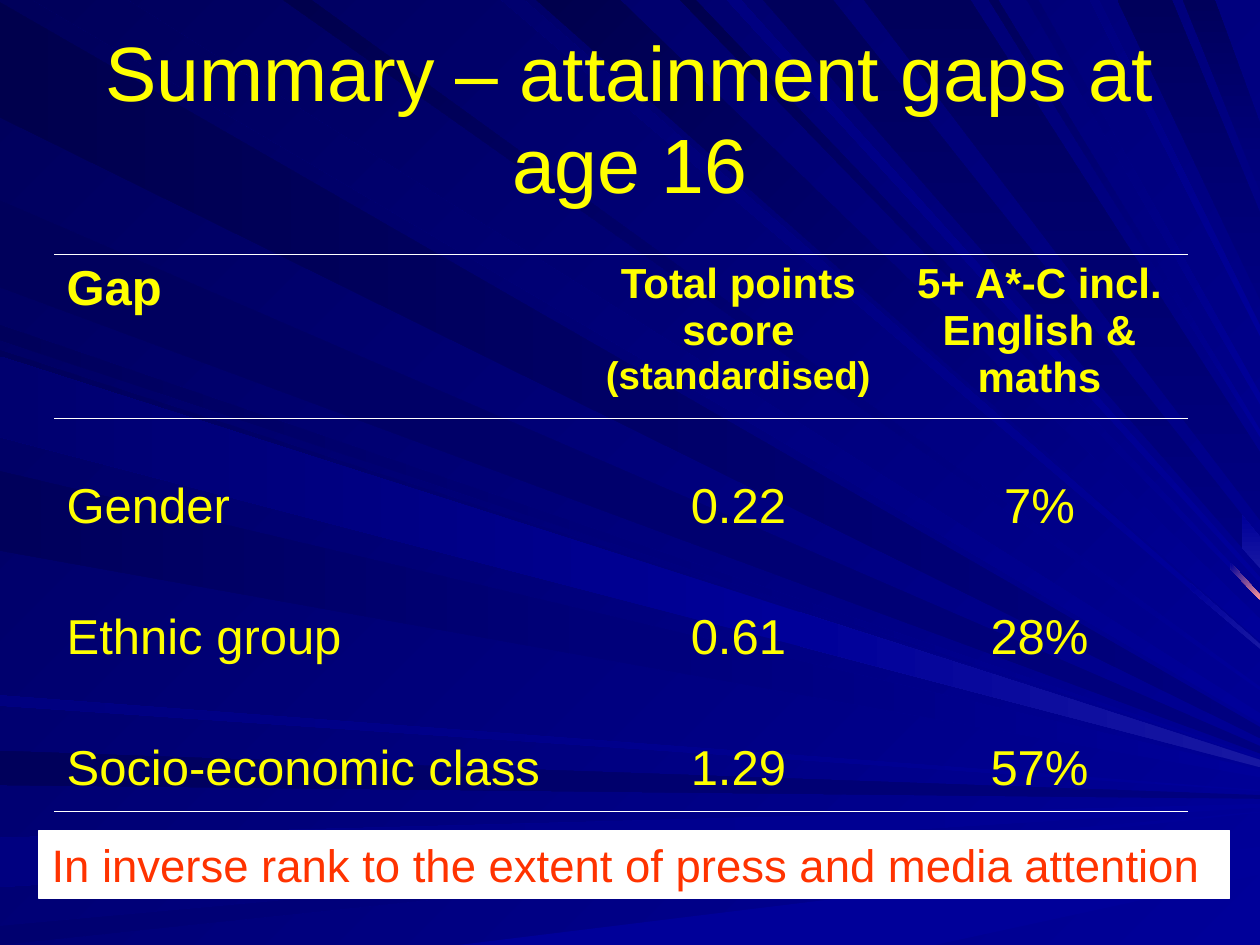
from dataclasses import dataclass
from typing import Optional

from lxml import etree
from pptx import Presentation
from pptx.dml.color import RGBColor
from pptx.enum.shapes import MSO_SHAPE
from pptx.enum.text import MSO_ANCHOR, PP_ALIGN
from pptx.oxml.ns import qn
from pptx.util import Cm, Pt

RECTANGLE = MSO_SHAPE.RECTANGLE
MIDDLE, TOP = MSO_ANCHOR.MIDDLE, MSO_ANCHOR.TOP
LEFT, CENTER = PP_ALIGN.LEFT, PP_ALIGN.CENTER

FONT = "Arial"
YELLOW = RGBColor.from_string("FFFF00")
WHITE = RGBColor.from_string("FFFFFF")
RED = RGBColor.from_string("FF3300")
PINK = RGBColor.from_string("FF9999")
GLOW = RGBColor.from_string("1717A2")
BLUE = RGBColor.from_string("000099")
NAVY = RGBColor.from_string("000080")
DIM = RGBColor.from_string("00006F")
DEEP = RGBColor.from_string("00005B")
DARK = RGBColor.from_string("00004D")

RAY_UNIT = Cm(0.0254)
RIGHT_EDGE = 1000
FOCUS_X, FOCUS_Y = 1100, 635
RULE_WIDTH = Pt(0.45)

Point = tuple[float, float]


@dataclass(frozen=True)
class Beam:
    near: int
    far: int
    dark: RGBColor
    light: RGBColor = BLUE
    split: int = RIGHT_EDGE
    tip: Optional[RGBColor] = None


@dataclass(frozen=True)
class Run:
    text: str
    size: int
    color: RGBColor = YELLOW
    bold: bool = False


BACK_LEFT_BEAMS = [
    Beam(2, 93, DARK, NAVY),
    Beam(596, 623, DEEP, NAVY),
    Beam(665, 704, NAVY),
    Beam(735, 750, DIM),
    Beam(258, 270, DEEP),
    Beam(159, 228, DEEP, NAVY),
]
TOP_BEAMS = [
    Beam(26, 101, DEEP),
    Beam(398, 416, DIM, split=945, tip=GLOW),
    Beam(426, 492, DARK),
    Beam(540, 552, DARK, split=977, tip=PINK),
    Beam(606, 661, DEEP, NAVY, split=986, tip=GLOW),
    Beam(887, 930, DEEP, NAVY),
    Beam(939, 964, DEEP, NAVY),
    Beam(225, 247, DARK),
    Beam(577, 588, NAVY),
    Beam(686, 770, DEEP, NAVY),
    Beam(785, 792, DEEP),
    Beam(815, 824, DIM),
    Beam(865, 872, NAVY),
]
FRONT_LEFT_BEAMS = [
    Beam(278, 342, DEEP),
    Beam(374, 437, DEEP),
    Beam(552, 560, NAVY),
    Beam(283, 347, DIM, split=635, tip=GLOW),
]
FLOOR_GLOW = [(364, 750), (742, 750), (1000, 694), (1000, 672)]

HEADER = [
    [Run("Gap", 28, bold=True)],
    [Run("Total points score ", 24, bold=True), Run("(standardised)", 22, bold=True)],
    [Run("5+ A*-C incl. English & maths", 24, bold=True)],
]
GAPS = [
    ("Gender", "0.22", "7%"),
    ("Ethnic group", "0.61", "28%"),
    ("Socio-economic class", "1.29", "57%"),
]
COLUMN_WIDTHS = [Cm(10.72), Cm(6.15), Cm(5.99)]
ROW_HEIGHTS = [Cm(3.3)] + [Cm(2.64)] * len(GAPS)


def fill_gradient(fill, start: RGBColor, end: RGBColor, angle: int) -> None:
    fill.gradient()
    fill.gradient_angle = angle
    for stop, color in zip(fill.gradient_stops, (start, end)):
        stop.color.rgb = color


def draw_outline(slide, points: list[Point], start: RGBColor, end: RGBColor, angle: int) -> None:
    builder = slide.shapes.build_freeform(*points[0], scale=RAY_UNIT)
    builder.add_line_segments(points[1:], close=True)
    shape = builder.convert_to_shape()
    shape.shadow.inherit = False
    shape.line.fill.background()
    fill_gradient(shape.fill, start, end, angle)


def toward_focus(origin: Point, x: float) -> Point:
    origin_x, origin_y = origin
    focus_x = FOCUS_X + origin_x / 10
    return x, origin_y + (FOCUS_Y - origin_y) * (x - origin_x) / (focus_x - origin_x)


def draw_beam(slide, beam: Beam, from_top: bool) -> None:
    edges = [(start, 0) if from_top else (0, start) for start in (beam.near, beam.far)]
    near, far = [toward_focus(edge, beam.split) for edge in edges]
    angle = 180
    if from_top:
        angle = 90 if beam.light == NAVY else 135
    draw_outline(slide, [edges[0], near, far, edges[1]], beam.light, beam.dark, angle)
    if beam.tip is not None:
        near_end, far_end = [toward_focus(edge, RIGHT_EDGE) for edge in edges]
        draw_outline(slide, [near, near_end, far_end, far], beam.tip, BLUE, angle)


def draw_background(slide) -> None:
    fill_gradient(slide.background.fill, BLUE, DEEP, 135)
    layers = [(BACK_LEFT_BEAMS, False), (TOP_BEAMS, True), (FRONT_LEFT_BEAMS, False)]
    for beams, from_top in layers:
        for beam in beams:
            draw_beam(slide, beam, from_top)
    draw_outline(slide, FLOOR_GLOW, BLUE, BLUE, 180)


def write(text_frame, runs: list[Run], alignment, line_spacing: float = 1.0) -> None:
    paragraph = text_frame.paragraphs[0]
    paragraph.alignment = alignment
    paragraph.line_spacing = line_spacing
    for item in runs:
        run = paragraph.add_run()
        run.text = item.text
        run.font.name = FONT
        run.font.size = Pt(item.size)
        run.font.bold = item.bold
        run.font.color.rgb = item.color


def set_borders(cell, ruled_sides: set[str]) -> None:
    properties = cell._tc.get_or_add_tcPr()
    for position, side in enumerate(("lnL", "lnR", "lnT", "lnB")):
        line = etree.Element(qn(f"a:{side}"), w=str(int(RULE_WIDTH)))
        if side in ruled_sides:
            solid = etree.SubElement(line, qn("a:solidFill"))
            etree.SubElement(solid, qn("a:srgbClr"), val=str(WHITE))
        else:
            etree.SubElement(line, qn("a:noFill"))
        properties.insert(position, line)


def draw_gap_table(slide) -> None:
    rows = [HEADER] + [[[Run(text, 28)] for text in gap] for gap in GAPS]
    table = slide.shapes.add_table(
        len(rows), len(COLUMN_WIDTHS), Cm(1.09), Cm(5.13), sum(COLUMN_WIDTHS), sum(ROW_HEIGHTS)
    ).table
    table.first_row = table.horz_banding = False
    for column, width in zip(table.columns, COLUMN_WIDTHS):
        column.width = width
    for row, height in zip(table.rows, ROW_HEIGHTS):
        row.height = height
    ruled_sides = [{"lnT", "lnB"}, {"lnT"}, set(), {"lnB"}]
    for row_index, row in enumerate(rows):
        for column_index, runs in enumerate(row):
            cell = table.cell(row_index, column_index)
            cell.fill.background()
            cell.vertical_anchor = TOP
            alignment = CENTER if column_index else LEFT
            write(cell.text_frame, runs, alignment, 2.0 if row_index else 1.0)
            set_borders(cell, ruled_sides[row_index])


def draw_title(slide) -> None:
    title = slide.shapes.add_textbox(Cm(1.27), Cm(0.76), Cm(22.86), Cm(3.18))
    title.text_frame.word_wrap = True
    title.text_frame.vertical_anchor = MIDDLE
    write(title.text_frame, [Run("Summary – attainment gaps at age 16", 44)], CENTER)


def draw_remark(slide) -> None:
    remark = slide.shapes.add_shape(RECTANGLE, Cm(0.79), Cm(16.74), Cm(24), Cm(1.37))
    remark.shadow.inherit = False
    remark.fill.solid()
    remark.fill.fore_color.rgb = WHITE
    remark.line.color.rgb = WHITE
    remark.line.width = Pt(0.75)
    remark.text_frame.word_wrap = True
    remark.text_frame.vertical_anchor = TOP
    sentence = "In inverse rank to the extent of press and media attention"
    write(remark.text_frame, [Run(sentence, 26, RED)], LEFT)


def main() -> None:
    presentation = Presentation()
    presentation.slide_width, presentation.slide_height = Cm(25.4), Cm(19.05)
    slide = presentation.slides.add_slide(presentation.slide_layouts[6])
    draw_background(slide)
    draw_title(slide)
    draw_gap_table(slide)
    draw_remark(slide)
    presentation.save("out.pptx")


if __name__ == "__main__":
    main()
